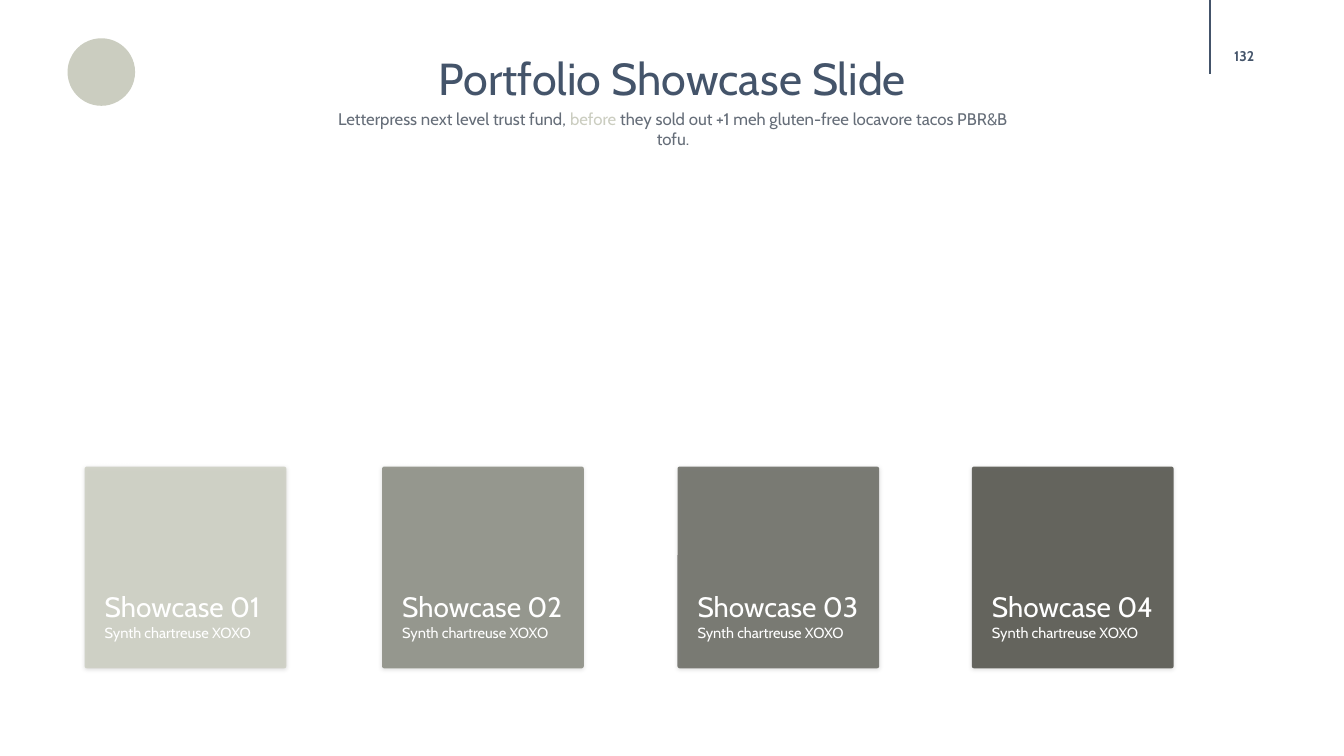
"""Build the portfolio showcase slide with four coloured cards."""
from lxml.etree import SubElement
from pptx import Presentation
from pptx.dml.color import RGBColor
from pptx.enum.shapes import MSO_CONNECTOR, MSO_SHAPE
from pptx.enum.text import MSO_ANCHOR, PP_ALIGN
from pptx.oxml.ns import qn
from pptx.util import Pt

PX = 9144
THEME = {
    "font": "Cabin",
    "navy": "44546A", "grey": "656D78", "sage": "CBCDC0", "white": "FFFFFF", "shadow": "000000",
    "cards": ["CBCDC0", "85877C", "63645C", "494941"],
    "title": 32, "subtitle": 12, "card_title": 20, "card_text": 10.5, "number": 10,
}


def px(*lengths):
    return [length * PX for length in lengths]


def add_text(box, runs, size, align=PP_ALIGN.LEFT, spacing=1.0, bold=False, **frame_format):
    frame = slide.shapes.add_textbox(*px(*box)).text_frame
    for name, value in {"word_wrap": True, **frame_format}.items():
        setattr(frame, name, value)
    paragraph = frame.paragraphs[0]
    paragraph.alignment = align
    paragraph.line_spacing = spacing
    for text, color in runs:
        run = paragraph.add_run()
        run.text = text
        for name, value in {"name": THEME["font"], "size": Pt(size), "bold": bold}.items():
            setattr(run.font, name, value)
        run.font.color.rgb = RGBColor.from_string(THEME[color])


presentation = Presentation()
presentation.slide_width, presentation.slide_height = px(1333, 750)
slide = presentation.slides.add_slide(presentation.slide_layouts[6])

emblem = slide.shapes.add_shape(MSO_SHAPE.OVAL, *px(67, 38, 67, 67))
emblem.shadow.inherit = False
emblem.fill.solid()
emblem.fill.fore_color.rgb = RGBColor.from_string(THEME["sage"])
emblem.line.fill.background()

divider = slide.shapes.add_connector(MSO_CONNECTOR.STRAIGHT, *px(1200, 0, 1200, 73))
divider.line.color.rgb = RGBColor.from_string(THEME["navy"])
divider.line.width = Pt(1)
SubElement(divider._element.spPr, qn("a:effectLst"))

add_text((1194, 36, 80, 40), [("132", "navy")], THEME["number"], PP_ALIGN.CENTER, bold=True,
         vertical_anchor=MSO_ANCHOR.MIDDLE,
         margin_left=0, margin_right=0, margin_top=0, margin_bottom=0)

for number, (left, color) in enumerate(zip([84, 379, 672, 964], THEME["cards"]), 1):
    card = slide.shapes.add_shape(MSO_SHAPE.ROUNDED_RECTANGLE, *px(left, 463, 200, 200))
    card.adjustments[0] = 0.01
    card.fill.solid()
    card.fill.fore_color.rgb = RGBColor.from_string(color)
    card.line.fill.background()
    card.shadow.inherit = False
    properties = card._element.spPr
    fill_color = properties.find(qn("a:solidFill")).find(qn("a:srgbClr"))
    SubElement(fill_color, qn("a:alpha"), val="82000")
    shadow = SubElement(properties.find(qn("a:effectLst")), qn("a:outerShdw"),
                        blurRad=str(Pt(3)), dist=str(Pt(1)), dir="5400000",
                        algn="t", rotWithShape="0")
    shadow_color = SubElement(shadow, qn("a:srgbClr"), val=THEME["shadow"])
    SubElement(shadow_color, qn("a:alpha"), val="15000")
    add_text((left + 10, 586, 193, 37), [(f"Showcase {number:02d}", "white")],
             THEME["card_title"], spacing=0.8)
    add_text((left + 10, 617, 193, 29), [("Synth chartreuse XOXO", "white")],
             THEME["card_text"], spacing=0.8)

add_text((254, 45, 826, 64), [("Portfolio Showcase Slide", "navy")],
         THEME["title"], PP_ALIGN.CENTER)
add_text((320, 103, 695, 30), [
    ("Letterpress next level trust fund, ", "grey"),
    ("before", "sage"),
    (" they sold out +1 meh gluten-free locavore tacos PBR&B tofu.", "grey"),
], THEME["subtitle"], PP_ALIGN.CENTER)

presentation.save("out.pptx")
